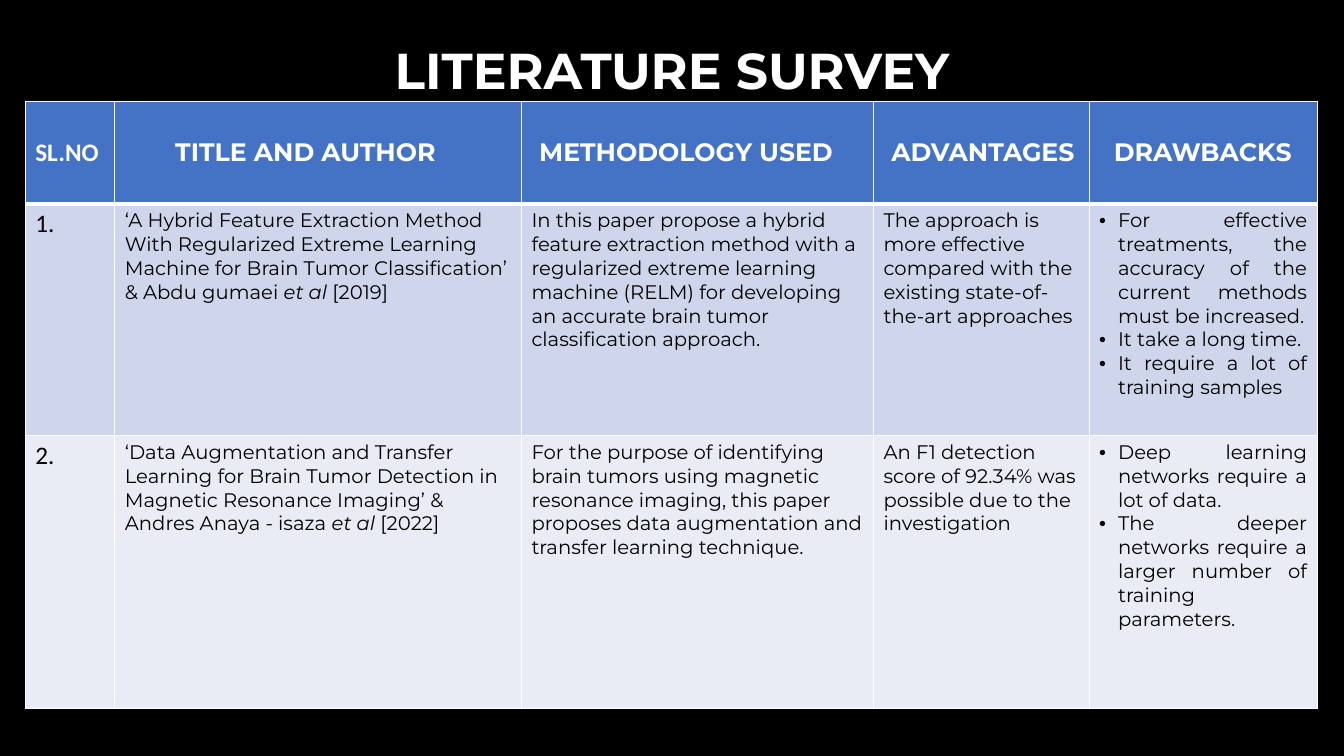
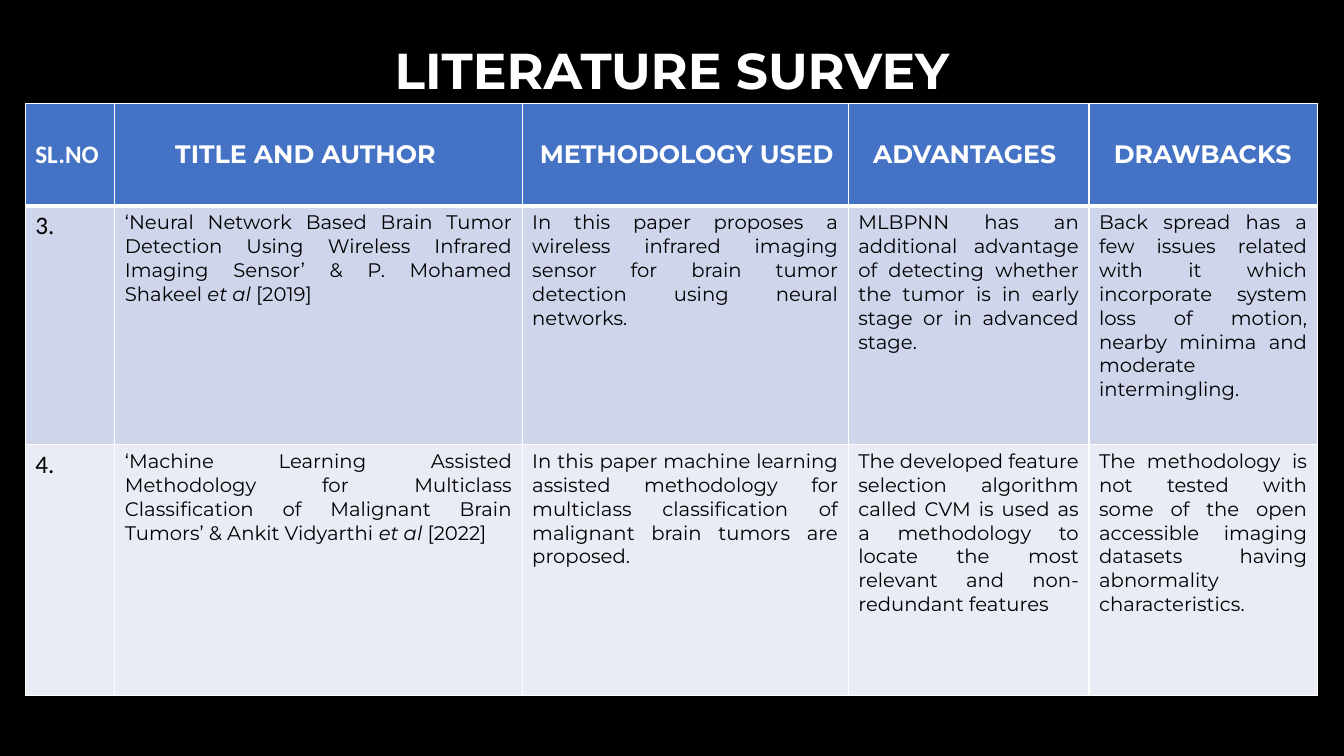
import dataclasses

import pptx
import pptx.dml.color
import pptx.enum.text
import pptx.oxml.xmlchemy
import pptx.util

Pt = pptx.util.Pt
ALIGN = pptx.enum.text.PP_ALIGN
ANCHOR = pptx.enum.text.MSO_ANCHOR
TITLE_ONLY = 5


@dataclasses.dataclass(frozen=True)
class Theme:
    background: str = "000000"
    light: str = "FFFFFF"
    dark: str = "000000"
    header: str = "4472C4"
    bands: tuple = ("CFD5EA", "E9EBF5")
    font: str = "Montserrat"
    number_font: str = "Calibri"
    title_size: float = 36
    header_size: float = 18
    body_size: float = 14
    inset: float = 7.2
    bullet_indent: float = 13.5
    grid_line: float = 1
    header_line: float = 3


THEME = Theme()
HEADINGS = ["SL.NO", "TITLE AND AUTHOR", "METHODOLOGY USED", "ADVANTAGES", "DRAWBACKS"]

SURVEYS = [
    {
        "top": 72.5,
        "columns": [64, 290.5, 251.5, 154, 163],
        "rows": [73, 165.5, 195],
        "heading_indents": [0, 36, 5.5, 5.5, 10.5],
        "align": ALIGN.LEFT,
        "papers": [
            ["1.",
             "‘A Hybrid Feature Extraction Method With Regularized Extreme Learning Machine "
             "for Brain Tumor Classification’ & Abdu gumaei et al [2019]",
             "In this paper propose a hybrid feature extraction method with a regularized "
             "extreme learning machine (RELM) for developing an accurate brain tumor "
             "classification approach.",
             "The approach is more effective compared with the existing state-of-the-art "
             "approaches",
             ["For effective treatments, the accuracy of the current methods must be increased.",
              "It take a long time.",
              "It require a lot of training samples"]],
            ["2.",
             "‘Data Augmentation and Transfer Learning for Brain Tumor Detection in Magnetic "
             "Resonance Imaging’ & Andres Anaya - isaza et al [2022]",
             "For the purpose of identifying brain tumors using magnetic resonance imaging, "
             "this paper proposes data augmentation and transfer learning technique.",
             "An F1 detection score of 92.34% was possible due to the investigation",
             ["Deep learning networks require a lot of data.",
              "The deeper networks require a larger number of training parameters."]],
        ],
    },
    {
        "top": 74,
        "columns": [64, 291, 233, 172, 163],
        "rows": [73, 170.5, 179.5],
        "heading_indents": [0, 36, 5.5, 10.5, 10.5],
        "align": ALIGN.JUSTIFY,
        "papers": [
            ["3.",
             "‘Neural Network Based Brain Tumor Detection Using Wireless Infrared Imaging "
             "Sensor’ & P. Mohamed Shakeel et al [2019]",
             "In this paper proposes a wireless infrared imaging sensor for brain tumor "
             "detection using neural networks.",
             "MLBPNN has an additional advantage of detecting whether the tumor is in early "
             "stage or in advanced stage.",
             "Back spread has a few issues related with it which incorporate system loss of "
             "motion, nearby minima and moderate intermingling."],
            ["4.",
             "‘Machine Learning Assisted Methodology for Multiclass Classification of "
             "Malignant Brain Tumors’ & Ankit Vidyarthi et al [2022]",
             "In this paper machine learning assisted methodology for multiclass "
             "classification of malignant brain tumors are proposed.",
             "The developed feature selection algorithm called CVM is used as a methodology "
             "to locate the most relevant and non-redundant features",
             "The methodology is not tested with some of the open accessible imaging datasets "
             "having abnormality characteristics."],
        ],
    },
]


def rgb(color):
    return pptx.dml.color.RGBColor.from_string(color)


def make_element(tag, **attributes):
    element = pptx.oxml.xmlchemy.OxmlElement(tag)
    for name, value in attributes.items():
        element.set(name, str(value))
    return element


def add_run(p, text, color, **formats):
    r = p.add_run()
    r.text = text
    r.font.color.rgb = rgb(color)
    for name, value in formats.items():
        setattr(r.font, name, value)


def add_bullet(p):
    pPr = p._p.get_or_add_pPr()
    indent = Pt(THEME.bullet_indent)
    pPr.set("marL", str(indent))
    pPr.set("indent", str(-indent))
    pPr.append(make_element("a:buFont", typeface="Arial"))
    pPr.append(make_element("a:buChar", char="•"))


def set_borders(cell, **widths):
    """Draw cell borders; the sides are given in schema order L, R, T, B."""
    tcPr = cell._tc.get_or_add_tcPr()
    for side, width in widths.items():
        line = make_element(f"a:ln{side}", w=Pt(width))
        fill = make_element("a:solidFill")
        fill.append(make_element("a:srgbClr", val=THEME.light))
        line.append(fill)
        tcPr.append(line)


def style_cell(cell, row):
    thin, thick = THEME.grid_line, THEME.header_line
    set_borders(cell, L=thin, R=thin,
                T=thick if row == 1 else thin, B=thick if row == 0 else thin)
    cell.fill.solid()
    cell.fill.fore_color.rgb = rgb(THEME.bands[row - 1] if row else THEME.header)


def fill_heading(cell, text, font, indent):
    cell.vertical_anchor = ANCHOR.MIDDLE
    cell.margin_left = Pt(THEME.inset + indent)
    cell.margin_right = Pt(0)
    add_run(cell.text_frame.paragraphs[0], text, THEME.light,
            name=font, size=Pt(THEME.header_size), bold=True)


def fill_number(cell, text):
    add_run(cell.text_frame.paragraphs[0], text, THEME.dark,
            name=THEME.number_font, size=Pt(THEME.header_size), bold=False)


def fill_body(cell, content, align):
    """Write one paragraph, or a justified bullet list when content is a list."""
    bulleted = isinstance(content, list)
    tf = cell.text_frame
    for i, text in enumerate(content if bulleted else [content]):
        p = tf.add_paragraph() if i else tf.paragraphs[0]
        p.alignment = ALIGN.JUSTIFY if bulleted else align
        if bulleted:
            add_bullet(p)
        for part in text.partition("et al"):
            if part:
                add_run(p, part, THEME.dark, name=THEME.font, size=Pt(THEME.body_size),
                        italic=part == "et al")


def add_survey_table(s, survey):
    columns, rows = survey["columns"], survey["rows"]
    table = s.shapes.add_table(len(rows), len(columns), Pt(18), Pt(survey["top"]),
                               Pt(sum(columns)), Pt(sum(rows))).table
    for column, width in zip(table.columns, columns):
        column.width = Pt(width)
    for r, height in enumerate(rows):
        table.rows[r].height = Pt(height)
        for c in range(len(columns)):
            style_cell(table.cell(r, c), r)

    for c, (heading, indent) in enumerate(zip(HEADINGS, survey["heading_indents"])):
        font = THEME.font if c else THEME.number_font
        fill_heading(table.cell(0, c), heading, font, indent)
    for r, (number, *contents) in enumerate(survey["papers"], start=1):
        fill_number(table.cell(r, 0), number)
        for c, content in enumerate(contents, start=1):
            fill_body(table.cell(r, c), content, survey["align"])


def set_title(s, text):
    tf = s.shapes.title.text_frame
    tf.vertical_anchor = ANCHOR.MIDDLE
    p = tf.paragraphs[0]
    p.alignment = ALIGN.CENTER
    p.line_spacing = 0.9
    add_run(p, text, THEME.light, name=THEME.font, size=Pt(THEME.title_size), bold=True)


def prepare_layout(prs):
    """Set the shared background and title position, and return the layout."""
    background = prs.slide_master.background.fill
    background.solid()
    background.fore_color.rgb = rgb(THEME.background)
    layout = prs.slide_layouts[TITLE_ONLY]
    place = {"left": 66, "top": 0, "width": 828, "height": 104.4}
    for name, value in place.items():
        setattr(layout.placeholders[0], name, Pt(value))
    return layout


def main():
    prs = pptx.Presentation()
    prs.slide_width, prs.slide_height = Pt(960), Pt(540)
    layout = prepare_layout(prs)
    for survey in SURVEYS:
        s = prs.slides.add_slide(layout)
        set_title(s, "LITERATURE SURVEY")
        add_survey_table(s, survey)
    prs.save("out.pptx")


if __name__ == "__main__":
    main()
